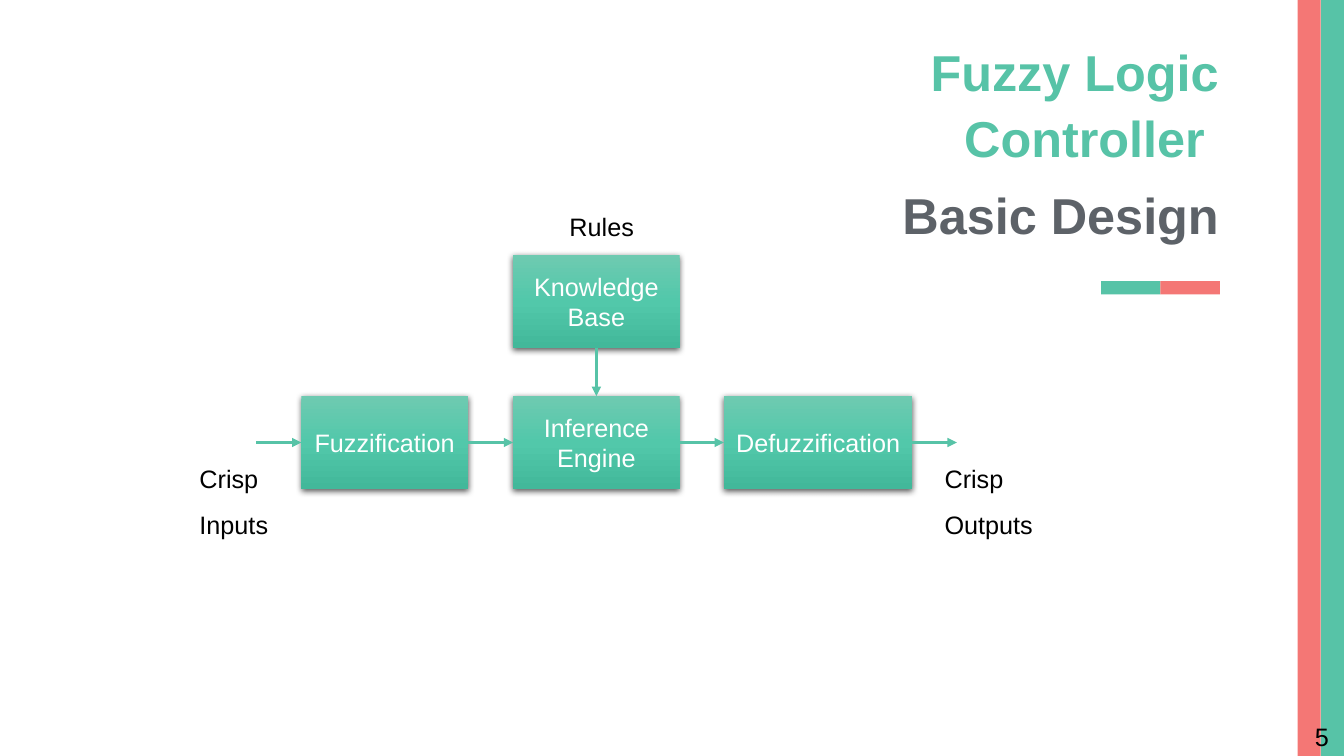
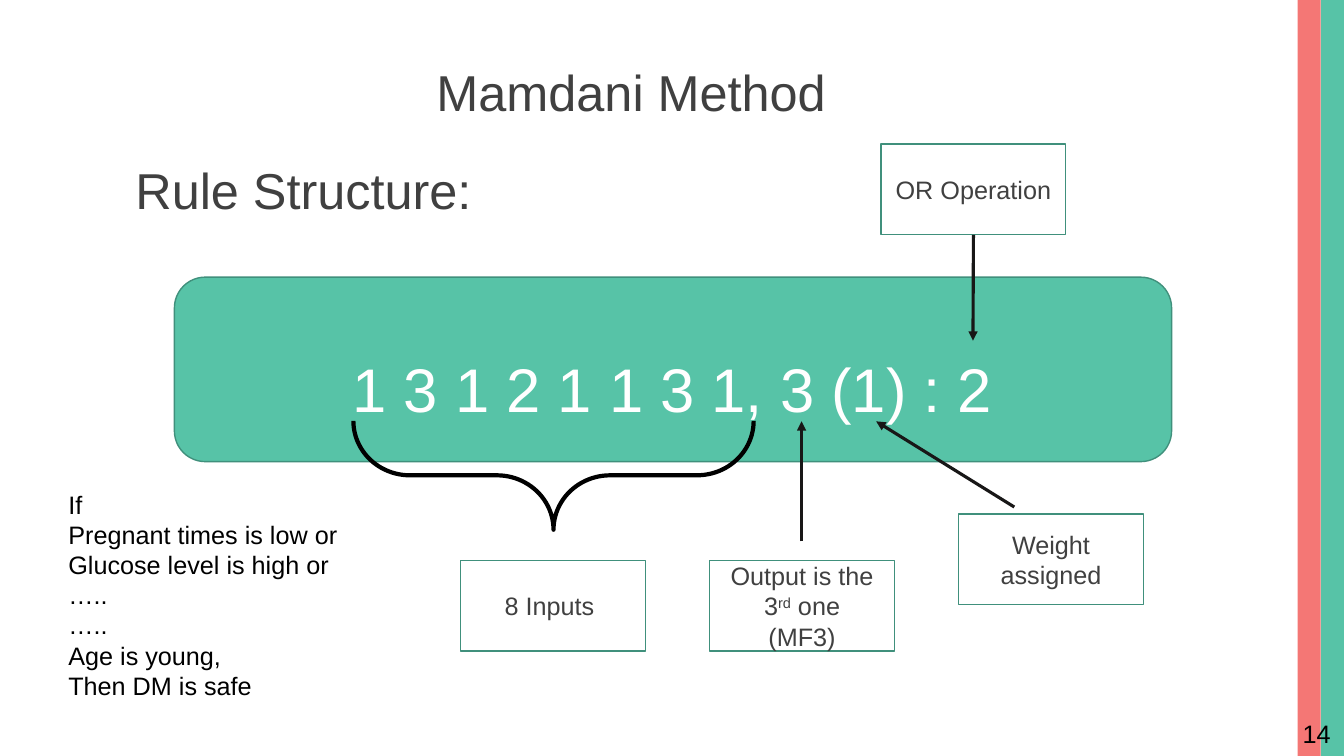
from copy import deepcopy

from lxml import etree
from pptx import Presentation
from pptx import util as u
from pptx.dml.color import RGBColor
from pptx.enum import shapes, text
from pptx.oxml.ns import qn

FONT = "Arial"
GREEN, CORAL, DARK_GREEN = "57C3A7", "F47775", "40907C"
WHITE, BLACK, INK, GREY, SLATE = "FFFFFF", "000000", "181717", "404040", "5D6268"
GRADIENT = ((0, "6ECAB1"), (0.5, "52C8AA"), (1, "42B89A"))
RECT = shapes.MSO_SHAPE.RECTANGLE
LEFT, CENTER, RIGHT = text.PP_ALIGN.LEFT, text.PP_ALIGN.CENTER, text.PP_ALIGN.RIGHT
TOP, MIDDLE = text.MSO_ANCHOR.TOP, text.MSO_ANCHOR.MIDDLE


def rgb(value):
    """Turn a hex string into a colour."""
    return RGBColor.from_string(value)


def inches(values):
    """Turn numbers into lengths in inches."""
    return [u.Inches(v) for v in values]


def write(tf, paragraphs, color=BLACK, size=18, align=LEFT, anchor=TOP,
          spacing=1.0, before=0, bold=False):
    """Fill a frame; a paragraph is a string or a list of (text, color, baseline)."""
    tf.word_wrap = True
    tf.auto_size = text.MSO_AUTO_SIZE.NONE
    tf.vertical_anchor = anchor
    for i, runs in enumerate(paragraphs):
        p = tf.add_paragraph() if i else tf.paragraphs[0]
        p.alignment, p.line_spacing, p.space_before = align, spacing, u.Pt(before)
        for content, run_color, baseline in [(runs, color, 0)] if isinstance(runs, str) else runs:
            r = p.add_run()
            r.text = content
            r.font.name, r.font.size, r.font.bold = FONT, u.Pt(size), bold
            r.font.color.rgb = rgb(run_color)
            if baseline:
                r.font._element.set("baseline", str(baseline * 1000))


def add_text(slide, at, paragraphs, **style):
    """Add a text box."""
    write(slide.shapes.add_textbox(*inches(at)).text_frame, paragraphs, **style)


def set_title(slide, at, paragraphs, **style):
    """Place and fill the title placeholder."""
    title = slide.shapes.title
    title.left, title.top, title.width, title.height = inches(at)
    write(title.text_frame, paragraphs, size=36, **style)


def add_shape(slide, at, kind=RECT, fill=None, line=None, width=1):
    """Add a preset shape without shadow."""
    sp = slide.shapes.add_shape(kind, *inches(at))
    sp.shadow.inherit = False
    if fill:
        sp.fill.solid()
        sp.fill.fore_color.rgb = rgb(fill)
    else:
        sp.fill.background()
    if line:
        sp.line.color.rgb = rgb(line)
        sp.line.width = u.Pt(width)
    else:
        sp.line.fill.background()
    return sp


def add_block(slide, at, paragraphs):
    """Add a block of the controller with gradient and soft shadow."""
    sp = add_shape(slide, at)
    sp.fill.gradient()
    sp.fill.gradient_angle = 270
    stops = sp.element.spPr.find(".//" + qn("a:gsLst"))
    stops.insert(1, deepcopy(stops[0]))
    for stop, (position, color) in zip(sp.fill.gradient_stops, GRADIENT):
        stop.position = position
        stop.color.rgb = rgb(color)
    effects = sp.element.spPr.find(qn("a:effectLst"))
    shadow = etree.SubElement(effects, qn("a:outerShdw"), blurRad=str(u.Pt(4.5)),
                              dist=str(u.Pt(1.5)), dir="5400000", rotWithShape="0")
    shade = etree.SubElement(shadow, qn("a:srgbClr"), val=BLACK)
    etree.SubElement(shade, qn("a:alpha"), val="63000")
    write(sp.text_frame, paragraphs, WHITE, align=CENTER, anchor=MIDDLE)
    return sp


def add_callout(slide, left, top, paragraphs):
    """Add an outlined note box."""
    sp = add_shape(slide, (left, top, 1.83, 0.9), line=DARK_GREEN)
    write(sp.text_frame, paragraphs, GREY, align=CENTER, anchor=MIDDLE)
    return sp


def add_arrow(slide, start, end, color):
    """Add an arrow; each end is a point or a (shape, site) pair."""
    points = [(0, 0) if hasattr(e[0], "shape_id") else e for e in (start, end)]
    cxn = slide.shapes.add_connector(shapes.MSO_CONNECTOR.STRAIGHT,
                                     *inches(points[0] + points[1]))
    for target, connect in ((start, cxn.begin_connect), (end, cxn.end_connect)):
        if hasattr(target[0], "shape_id"):
            connect(*target)
    cxn.line.color.rgb = rgb(color)
    cxn.line.width = u.Pt(2.25)
    etree.SubElement(cxn.line._get_or_add_ln(), qn("a:tailEnd"), type="triangle")
    etree.SubElement(cxn.element.spPr, qn("a:effectLst"))


def add_bands(prs, slide):
    """Draw the side bands and move them to the master."""
    for left, color in ((13.1, GREEN), (12.87, CORAL)):
        band = add_shape(slide, (left, 0, 0.23, 7.5), fill=color)
        prs.slide_master.shapes.element.append(band.element)


def add_number(slide, at, number):
    """Add the page number."""
    add_text(slide, at, [number], align=CENTER, anchor=MIDDLE)


def build_controller(slide):
    """Build the block diagram of the fuzzy controller."""
    set_title(slide, (7.74, 0.58, 4.45, 1.61),
              ["Fuzzy Logic Controller ", [("Basic Design", SLATE, 0)]],
              color=GREEN, align=RIGHT, anchor=MIDDLE, spacing=1.1, before=7.2, bold=True)
    for left, color in ((10.92, GREEN), (11.51, CORAL)):
        add_shape(slide, (left, 2.79, 0.59, 0.13), fill=color)

    row, height = 3.93, 0.92
    middle = row + height / 2
    fuzzify = add_block(slide, (2.99, row, 1.65, height), ["Fuzzification"])
    engine = add_block(slide, (5.09, row, 1.65, height), ["Inference", "Engine"])
    defuzzify = add_block(slide, (7.18, row, 1.87, height), ["Defuzzification"])
    knowledge = add_block(slide, (5.09, 2.53, 1.65, height), ["Knowledge Base"])
    for start, end in (
        ((2.54, middle), (fuzzify, 1)),
        ((fuzzify, 3), (engine, 1)),
        ((engine, 3), (defuzzify, 1)),
        ((defuzzify, 3), (9.49, middle)),
        ((knowledge, 2), (engine, 0)),
    ):
        add_arrow(slide, start, end, GREEN)

    add_text(slide, (1.88, 4.4, 0.88, 0.95), ["Crisp Inputs"], spacing=1.5)
    add_text(slide, (9.27, 4.4, 1.18, 0.95), ["Crisp Outputs"], spacing=1.5)
    add_text(slide, (5.55, 2.05, 0.96, 0.4), ["Rules"])
    add_number(slide, (12.92, 7.15, 0.38, 0.32), "5")


def build_rule(slide):
    """Build the annotated rule of the Mamdani method."""
    set_title(slide, (3.94, 0.56, 4.64, 0.71), ["Mamdani Method"], color=GREY, align=CENTER)
    add_text(slide, (0.69, 1.53, 4.64, 0.71), ["Rule Structure:"],
             color=GREY, size=36, align=CENTER)
    rule = add_shape(slide, (1.73, 2.75, 9.89, 1.83), shapes.MSO_SHAPE.ROUNDED_RECTANGLE,
                     GREEN, DARK_GREEN)
    write(rule.text_frame, ["1 3 1 2 1 1 3 1, 3 (1) : 2"], WHITE, 44, CENTER, MIDDLE, 1.5)

    brace = add_shape(slide, (4.95, 2.73, 1.08, 3.97), shapes.MSO_SHAPE.LEFT_BRACE,
                      line=BLACK, width=3)
    brace.rotation = 270
    brace.adjustments[0], brace.adjustments[1] = 0.52, 0.5

    add_callout(slide, 4.57, 5.56, ["8 Inputs "])
    operation = add_callout(slide, 8.74, 1.43, ["OR Operation"])
    add_callout(slide, 9.51, 5.1, ["Weight assigned"])
    add_callout(slide, 7.04, 5.56, [
        [("Output is the 3", GREY, 0), ("rd", GREY, 30), (" one", GREY, 0)], "(MF3)"])
    for start, end in (
        ((7.95, 5.37), (7.95, 4.18)),
        ((operation, 2), (9.65, 3.38)),
        ((10.06, 5.03), (8.69, 4.18)),
    ):
        add_arrow(slide, start, end, INK)

    add_text(slide, (0.58, 4.8, 3.4, 2.52), [
        "If", "Pregnant times is low or", "Glucose level is high or",
        "…..", "…..", "Age is young,", "Then DM is safe"])
    add_number(slide, (12.81, 7.08, 0.5, 0.39), "14")


def main():
    """Build and save the presentation."""
    prs = Presentation()
    prs.slide_width, prs.slide_height = inches((13.33, 7.5))
    title_only = prs.slide_layouts[5]
    controller, rule = (prs.slides.add_slide(title_only) for _ in range(2))
    add_bands(prs, controller)
    build_controller(controller)
    build_rule(rule)
    prs.save("out.pptx")


if __name__ == "__main__":
    main()
